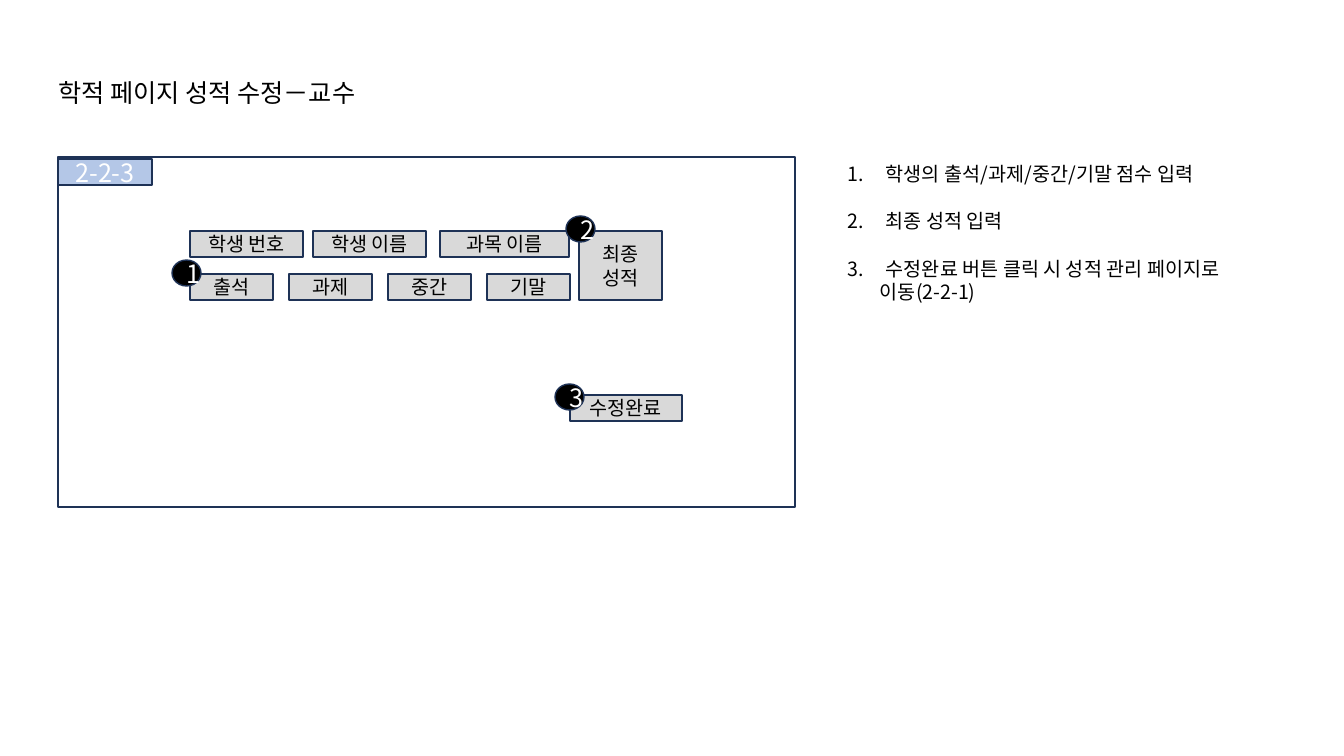
from lxml.etree import SubElement
from pptx import Presentation
from pptx.dml.color import RGBColor
from pptx.enum.shapes import MSO_SHAPE
from pptx.enum.text import MSO_ANCHOR, MSO_AUTO_SIZE, PP_ALIGN
from pptx.oxml.ns import qn
from pptx.util import Pt

SCALE = 914400 / 100.8  # EMU per px
FONT = "Noto Sans CJK KR"
COLORS = {"white": "FFFFFF", "black": "000000", "gray": "D9D9D9",
          "blue": "B4C7E7", "navy": "1E3256"}


def style(frame, size, color, align):
    for para in frame.paragraphs:
        para.alignment = align
        for run in para.runs:
            run.font.size = Pt(size)
            run.font.name = FONT
            run.font.color.rgb = RGBColor.from_string(COLORS[color])
            SubElement(run.font._element, qn("a:ea"), typeface=FONT)


def draw(kind, box, fill, text="", size=14, color="black"):
    shape = slide.shapes.add_shape(kind, *[round(v * SCALE) for v in box])
    shape.shadow.inherit = False
    shape.fill.solid()
    shape.fill.fore_color.rgb = RGBColor.from_string(COLORS[fill])
    shape.line.color.rgb = RGBColor.from_string(COLORS["navy"])
    shape.line.width = Pt(1)
    if text:
        shape.text_frame.text = text
        shape.text_frame.vertical_anchor = MSO_ANCHOR.MIDDLE
        style(shape.text_frame, size, color, PP_ALIGN.CENTER)


prs = Presentation()
prs.slide_width = round(1344 * SCALE)
prs.slide_height = round(756 * SCALE)
slide = prs.slides.add_slide(prs.slide_layouts[5])

# Title
title = slide.shapes.title
title.left, title.top, title.width, title.height = [
    round(v * SCALE) for v in (48, 72, 353, 40)]
frame = title.text_frame
frame.text = "학적 페이지 성적 수정－교수"
frame.word_wrap = False
frame.auto_size = MSO_AUTO_SIZE.NONE
frame.vertical_anchor = MSO_ANCHOR.MIDDLE
style(frame, 18, "black", PP_ALIGN.LEFT)

# Screen frame and its number
draw(MSO_SHAPE.RECTANGLE, (58, 157, 737, 350), "white")
draw(MSO_SHAPE.RECTANGLE, (58, 159, 94, 26), "blue", "2-2-3", 18, "white")

# Student and course fields
for text, left, width in [("학생 번호", 190, 113), ("학생 이름", 313, 113),
                          ("과목 이름", 440, 129)]:
    draw(MSO_SHAPE.RECTANGLE, (left, 231, width, 26), "gray", text)

# Score fields
for i, text in enumerate(["출석", "과제", "중간", "기말"]):
    draw(MSO_SHAPE.RECTANGLE, (190 + 99 * i, 274, 83, 26), "gray", text)

# Final grade and done button
draw(MSO_SHAPE.RECTANGLE, (579, 231, 83, 69), "gray", "최종\n성적")
draw(MSO_SHAPE.RECTANGLE, (570, 395, 112, 26), "gray", "수정완료")

# Numbered badges
for num, (left, top) in enumerate([(172, 260), (566, 216), (555, 384)], 1):
    draw(MSO_SHAPE.OVAL, (left, top, 29, 26), "black", str(num), 18, "white")

# Notes beside the screen
notes = slide.shapes.add_textbox(
    *[round(v * SCALE) for v in (838, 157, 432, 224)])
frame = notes.text_frame
frame.word_wrap = True
frame.text = "\n".join(["학생의 출석/과제/중간/기말 점수 입력", "최종 성적 입력",
                        "수정완료 버튼 클릭 시 성적 관리 페이지로", "이동(2-2-1)"])
*steps, tail = frame.paragraphs
for i, para in enumerate(steps):
    props = para._p.get_or_add_pPr()
    props.set("marL", str(round(38 * SCALE)))
    props.set("indent", str(round(-38 * SCALE)))
    if i:
        para.space_before = Pt(17)
    SubElement(props, qn("a:buFont"), typeface="+mj-lt")
    SubElement(props, qn("a:buAutoNum"), type="arabicPeriod")
tail._p.get_or_add_pPr().set("marL", str(round(32 * SCALE)))
style(frame, 14, "black", PP_ALIGN.LEFT)

prs.save("out.pptx")
